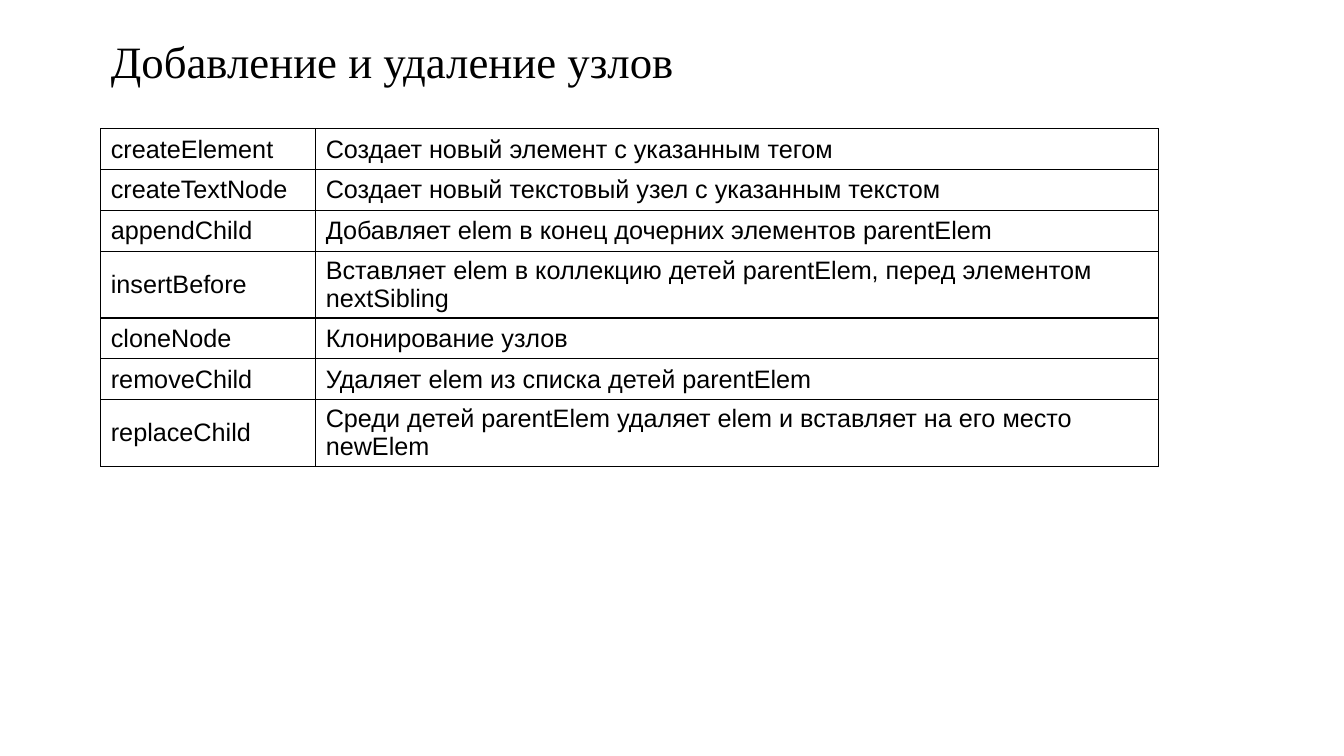
from dataclasses import dataclass
from typing import Any

from lxml.etree import SubElement
from pptx import Presentation
from pptx.dml.color import RGBColor
from pptx.enum.text import MSO_ANCHOR, MSO_AUTO_SIZE, PP_ALIGN
from pptx.oxml.ns import qn
from pptx.slide import Slide
from pptx.table import _Cell
from pptx.util import Pt


@dataclass(frozen=True)
class Theme:
    ink: str = "000000"
    paper: str = "FFFFFF"
    title_font: str = "Times New Roman"
    body_font: str = "Arial"
    title_size: float = 32
    body_size: float = 18
    border: float = 1


@dataclass(frozen=True)
class Method:
    name: str
    purpose: str


THEME = Theme()
LEFT, TABLE_TOP = 72, 92
COLUMN_WIDTHS = (153.5, 602)
ROW_HEIGHT = 29.2

METHODS = (
    Method("createElement", "Создает новый элемент с указанным тегом"),
    Method("createTextNode", "Создает новый текстовый узел с указанным текстом"),
    Method("appendChild", "Добавляет elem в конец дочерних элементов parentElem"),
    Method("insertBefore", "Вставляет elem в коллекцию детей parentElem, перед элементом nextSibling"),
    Method("cloneNode", "Клонирование узлов"),
    Method("removeChild", "Удаляет elem из списка детей parentElem"),
    Method("replaceChild", "Среди детей parentElem удаляет elem и вставляет на его место newElem"),
)


def set_all(target: Any, values: dict[str, Any]) -> None:
    for name, value in values.items():
        setattr(target, name, value)


def write(tf: Any, text: str, font: str, size: float) -> None:
    p = tf.paragraphs[0]
    p.alignment = PP_ALIGN.LEFT
    r = p.add_run()
    r.text = text
    set_all(r.font, {"name": font, "size": Pt(size), "bold": False})
    r.font.color.rgb = RGBColor.from_string(THEME.ink)


def add_borders(cell: _Cell) -> None:
    """Draw all four sides; call before the fill, which must follow them in the XML."""
    properties = cell._tc.get_or_add_tcPr()
    for side in ("a:lnL", "a:lnR", "a:lnT", "a:lnB"):
        line = SubElement(properties, qn(side), w=str(Pt(THEME.border)))
        fill = SubElement(line, qn("a:solidFill"))
        SubElement(fill, qn("a:srgbClr"), val=THEME.ink)


def add_title(s: Slide, text: str) -> None:
    sp = s.shapes.title
    set_all(sp, {"left": Pt(LEFT), "top": Pt(0), "width": Pt(816), "height": Pt(92)})
    tf = sp.text_frame
    set_all(tf, {"word_wrap": True, "auto_size": MSO_AUTO_SIZE.NONE,
                 "vertical_anchor": MSO_ANCHOR.MIDDLE})
    write(tf, text, THEME.title_font, THEME.title_size)
    tf.paragraphs[0].line_spacing = 0.9


def add_method_table(s: Slide, methods: tuple[Method, ...]) -> None:
    table = s.shapes.add_table(
        len(methods), len(COLUMN_WIDTHS), Pt(LEFT), Pt(TABLE_TOP),
        Pt(sum(COLUMN_WIDTHS)), Pt(ROW_HEIGHT * len(methods))).table
    set_all(table, {"first_row": False, "horz_banding": False})
    for column, width in zip(table.columns, COLUMN_WIDTHS):
        column.width = Pt(width)
    for row, method in zip(table.rows, methods):
        row.height = Pt(ROW_HEIGHT)
        for cell, text in zip(row.cells, (method.name, method.purpose)):
            add_borders(cell)
            cell.fill.solid()
            cell.fill.fore_color.rgb = RGBColor.from_string(THEME.paper)
            cell.vertical_anchor = MSO_ANCHOR.MIDDLE
            write(cell.text_frame, text, THEME.body_font, THEME.body_size)


def main() -> None:
    prs = Presentation()
    set_all(prs, {"slide_width": Pt(960), "slide_height": Pt(540)})
    s = prs.slides.add_slide(prs.slide_layouts.get_by_name("Title Only"))
    add_title(s, "Добавление и удаление узлов")
    add_method_table(s, METHODS)
    prs.save("out.pptx")


if __name__ == "__main__":
    main()
